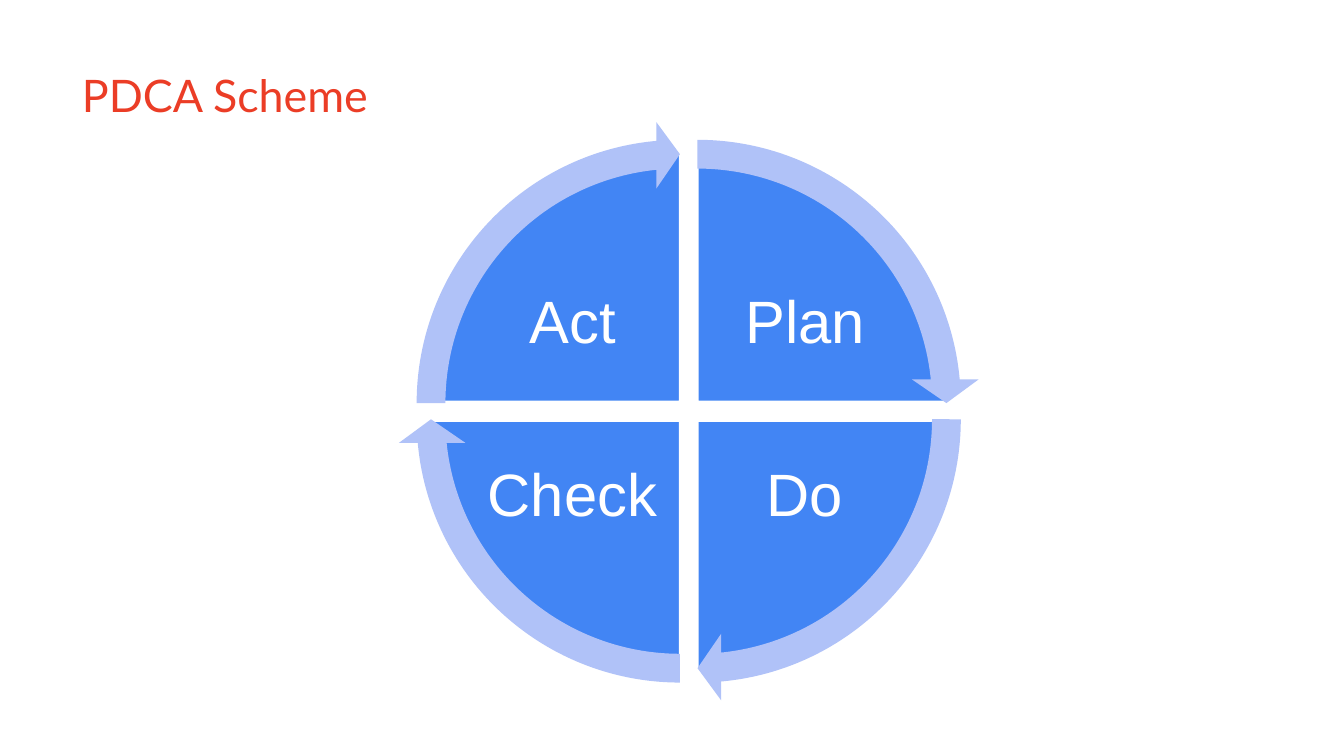
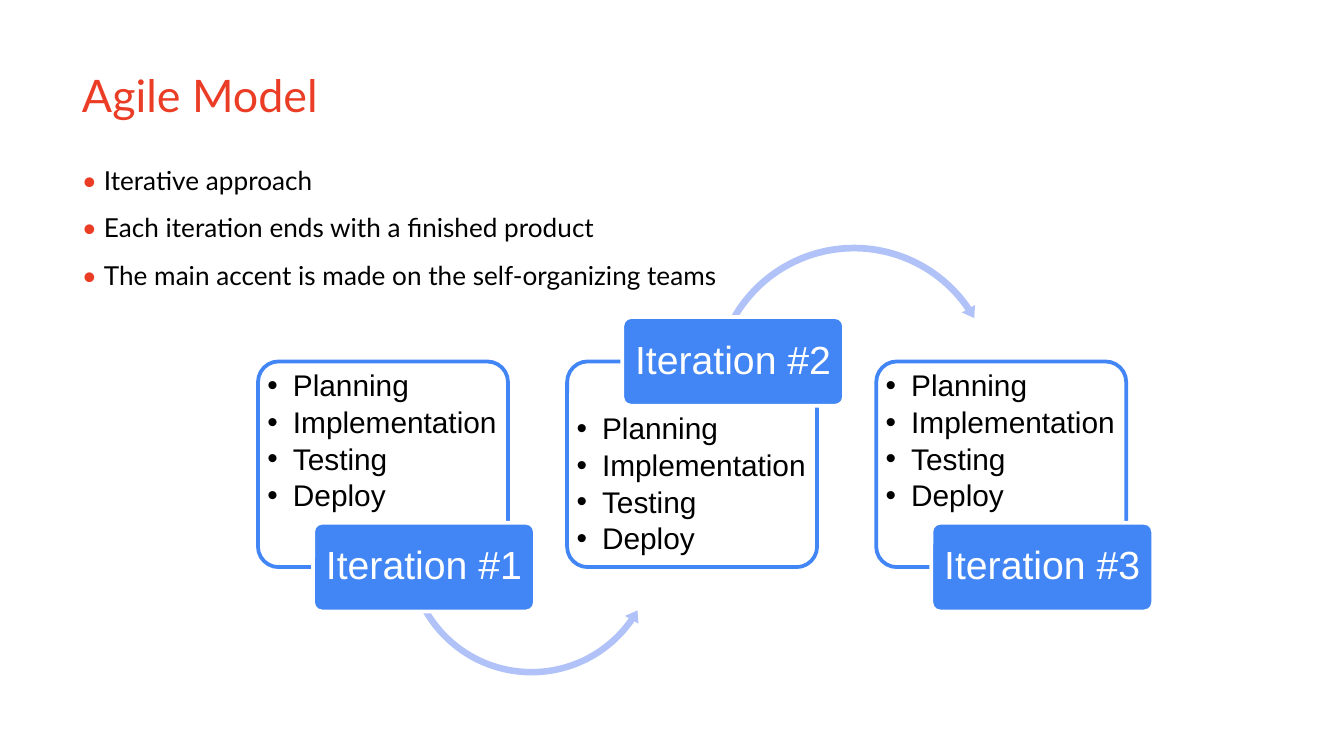
from lxml import etree
from pptx import Presentation
from pptx.dml.color import RGBColor
from pptx.enum.shapes import MSO_SHAPE as Shape
from pptx.enum.text import MSO_ANCHOR as Anchor, MSO_AUTO_SIZE as Fit, PP_ALIGN as Align
from pptx.oxml.ns import qn
from pptx.util import Inches, Pt

RED = RGBColor(0xEB, 0x3D, 0x26)
BLUE = RGBColor(0x42, 0x85, 0xF4)
PALE = RGBColor(0xB0, 0xC2, 0xF8)
WHITE = RGBColor(0xFF, 0xFF, 0xFF)
BLACK = RGBColor(0, 0, 0)
HEAD_FONT = "Lato"
ART_FONT = "Arial"

STAGES = ["Plan", "Do", "Check", "Act"]
POINTS = [
    "Iterative approach",
    "Each iteration ends with a finished product",
    "The main accent is made on the self-organizing teams",
]
TASKS = ["Planning", "Implementation", "Testing", "Deploy"]


def style(run, font, size, color):
    run.font.name = font
    run.font.size = Pt(size)
    run.font.color.rgb = color


def add_box(slide, box, insets):
    """Add an empty wrapping text box; insets run left, top, right, bottom."""
    frame = slide.shapes.add_textbox(*map(Inches, box)).text_frame
    frame.word_wrap = True
    (frame.margin_left, frame.margin_top,
     frame.margin_right, frame.margin_bottom) = map(Inches, insets)
    return frame


def add_title(slide, text):
    frame = add_box(slide, (0.61, 0.4, 2.26, 0.61), (0, 0.1, 0, 0.1))
    frame.auto_size = Fit.SHAPE_TO_FIT_TEXT
    frame.text = text
    style(frame.paragraphs[0].runs[0], HEAD_FONT, 24, RED)


def add_label(slide, box, text, size):
    """Add centred white text over a filled shape."""
    frame = add_box(slide, box, (0.04, 0.04, 0.04, 0.04))
    frame.vertical_anchor = Anchor.MIDDLE
    frame.text = text
    para = frame.paragraphs[0]
    para.alignment = Align.CENTER
    para.line_spacing = 0.9
    style(para.runs[0], ART_FONT, size, WHITE)


def add_form(slide, kind, box, fill, line=None, adjust=()):
    form = slide.shapes.add_shape(kind, *map(Inches, box))
    form.shadow.inherit = False
    form.fill.solid()
    form.fill.fore_color.rgb = fill
    if line is None:
        form.line.fill.background()
    else:
        form.line.color.rgb = line
        form.line.width = Pt(2)
    for i, value in enumerate(adjust):
        form.adjustments[i] = value
    return form


def turn(degrees):
    """Convert degrees to the unit of a shape adjustment."""
    return degrees * 0.6


def add_arc(slide, kind, box, width, head, tip, end, start):
    """Add a curved arrow: width and head in percent, the rest in degrees."""
    adjust = (width / 100, turn(tip), turn(end), turn(start), head / 100)
    add_form(slide, kind, box, PALE, adjust=adjust)


def add_points(slide):
    frame = add_box(slide, (0.61, 1.01, 8.02, 1.62), (0, 0.1, 0.1, 0.1))
    frame.auto_size = Fit.SHAPE_TO_FIT_TEXT
    for i, point in enumerate(POINTS):
        para = frame.add_paragraph() if i else frame.paragraphs[0]
        para.line_spacing = 1.5
        for text, color in (("• ", RED), (point, BLACK)):
            run = para.add_run()
            run.text = text
            style(run, HEAD_FONT, 14, color)


def set_bullet(para):
    props = para._p.get_or_add_pPr()
    props.set("marL", str(Inches(0.19)))
    props.set("indent", str(-Inches(0.19)))
    color = etree.SubElement(props, qn("a:buClr"))
    etree.SubElement(color, qn("a:srgbClr"), val=str(BLACK))
    etree.SubElement(props, qn("a:buFont"), typeface=ART_FONT)
    etree.SubElement(props, qn("a:buChar"), char="•")


def add_tasks(slide, left, top):
    frame = add_box(slide, (left, top, 1.79, 1.13), (0.03, 0.03, 0.03, 0.03))
    frame.text = "\n".join(TASKS)
    for para in frame.paragraphs:
        para.level = 1
        para.line_spacing = 0.9
        para.space_after = Pt(2.4)
        set_bullet(para)
        style(para.runs[0], ART_FONT, 16, BLACK)


def add_card(slide, index):
    """Add one iteration; the even ones carry their name on top."""
    left = 1.92 + 2.3 * index
    raised = index % 2 == 1
    card = add_form(slide, Shape.ROUNDED_RECTANGLE, (left, 2.69, 1.86, 1.53),
                    WHITE, BLUE, [0.1])
    tint = card.fill._xPr.find(qn("a:solidFill"))[0]
    etree.SubElement(tint, qn("a:alpha"), val="90000")
    add_tasks(slide, left + 0.04, 3.05 if raised else 2.73)
    if index == 0:
        add_arc(slide, Shape.LEFT_CIRCULAR_ARROW, (2.99, 3.13, 1.93, 1.93),
                2.5, 3, 5.16, 34.75, 150.41)
    elif index == 1:
        add_arc(slide, Shape.CIRCULAR_ARROW, (5.27, 1.79, 2.17, 2.17),
                2.3, 2.6, 4.56, 325.85, 209.59)
    x, y = left + 0.41, 2.36 if raised else 3.89
    add_form(slide, Shape.ROUNDED_RECTANGLE, (x, y, 1.65, 0.66),
             BLUE, WHITE, [0.1])
    add_label(slide, (x + 0.02, y + 0.02, 1.61, 0.62),
              f"Iteration #{index + 1}", 21)


def add_wheel(slide):
    """Add the four quarters clockwise from the top, then their arrows."""
    arcs = []
    for i, stage in enumerate(STAGES):
        right, upper = i < 2, i in (0, 3)
        start = (270 + 90 * i) % 360
        x, y = 3.32 if right else 3.2, 1.13 if upper else 1.26
        add_form(slide, Shape.PIE, (x, y, 3.73, 3.73), BLUE, WHITE,
                 (turn(start), turn((start + 90) % 360)))
        spot = (5.3 if right else 3.57, 1.9 if upper else 3.19, 1.38, 1.02)
        add_label(slide, spot, stage, 32)
        corner = 3.09 if right else 2.96, 0.9 if upper else 1.02
        arcs.append(((*corner, 4.2, 4.2), start))
    for box, start in arcs:
        add_arc(slide, Shape.CIRCULAR_ARROW, box,
                5.1, 5.9, 5.46, start + 84.54, start)


def main():
    deck = Presentation()
    deck.slide_width = Inches(10)
    deck.slide_height = deck.slide_width * 9 // 16
    blank = deck.slide_layouts[6]

    slide = deck.slides.add_slide(blank)
    add_title(slide, "PDCA Scheme")
    add_wheel(slide)

    slide = deck.slides.add_slide(blank)
    add_title(slide, "Agile Model")
    add_points(slide)
    for index in range(3):
        add_card(slide, index)

    deck.save("out.pptx")


if __name__ == "__main__":
    main()
